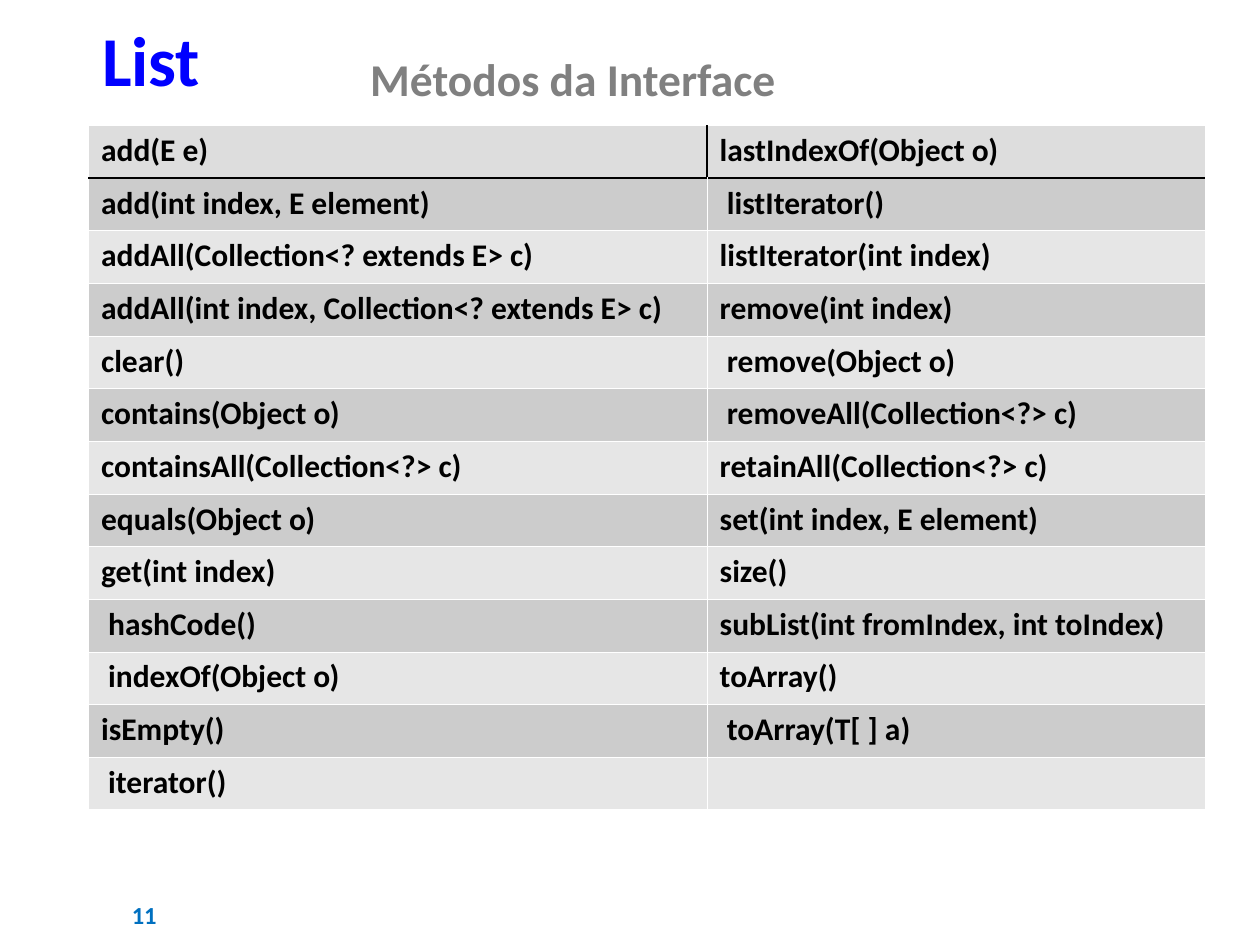
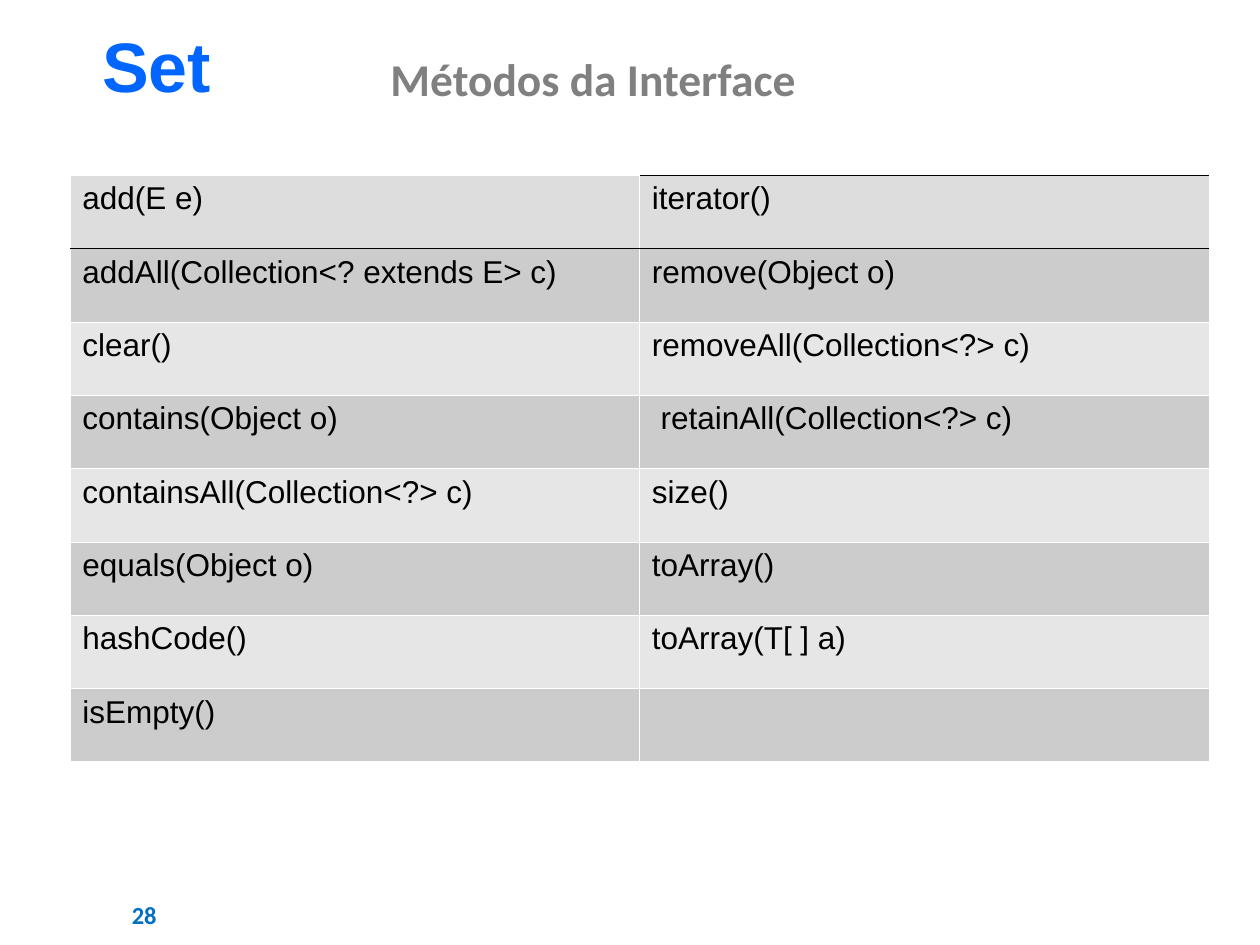
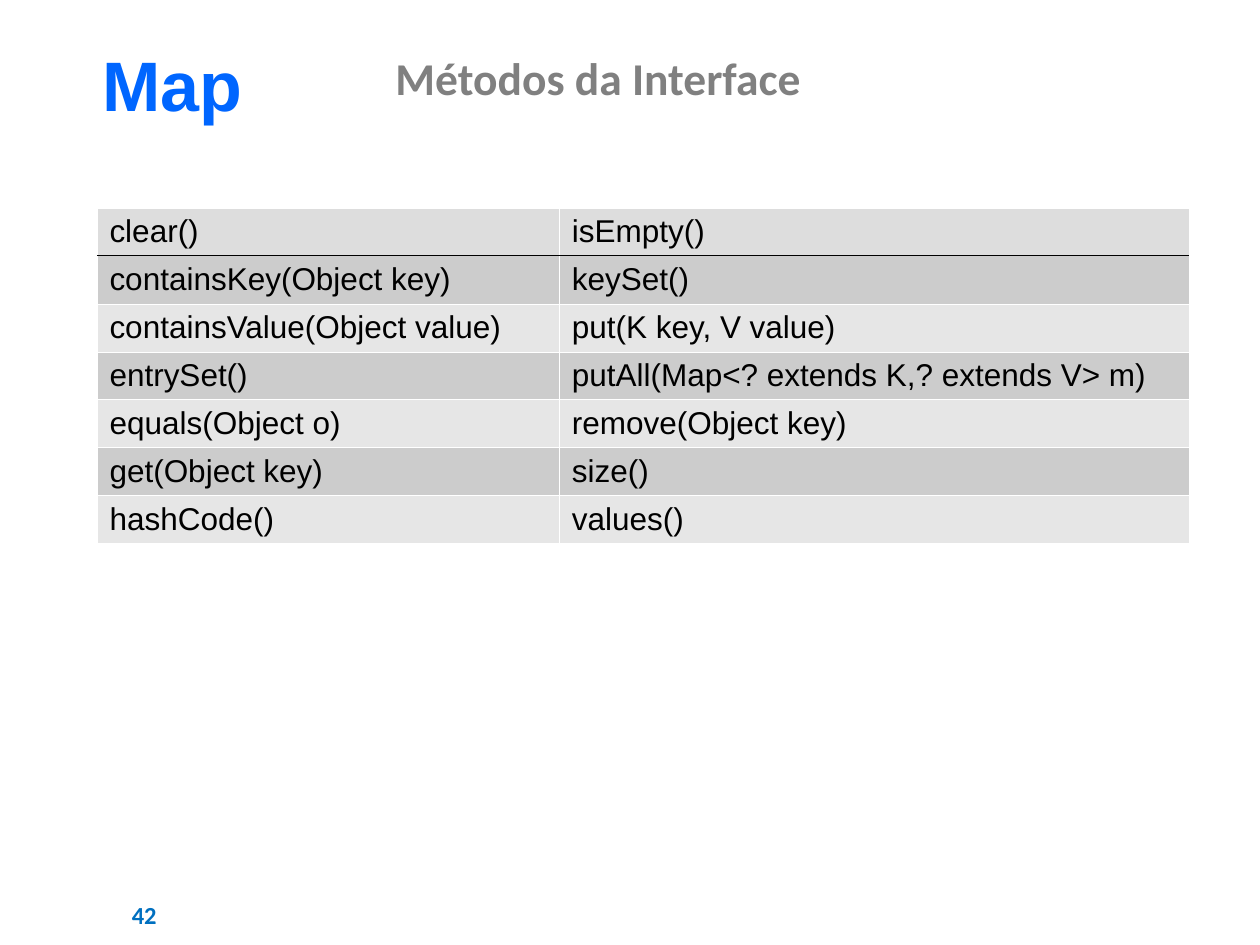
from lxml import etree
from pptx import Presentation
from pptx.dml.color import RGBColor
from pptx.enum.text import MSO_ANCHOR, MSO_AUTO_SIZE, PP_ALIGN
from pptx.oxml.ns import qn
from pptx.util import Pt

BLACK = RGBColor(0x00, 0x00, 0x00)
WHITE = RGBColor(0xFF, 0xFF, 0xFF)
GRAY = RGBColor(0x80, 0x80, 0x80)
PURE_BLUE = RGBColor(0x00, 0x00, 0xFF)
BRIGHT_BLUE = RGBColor(0x00, 0x66, 0xFF)
NUMBER_BLUE = RGBColor(0x00, 0x70, 0xC0)
HEADER_FILL = RGBColor(0xDD, 0xDD, 0xDD)
BAND_FILLS = (RGBColor(0xE6, 0xE6, 0xE6), RGBColor(0xCC, 0xCC, 0xCC))

HAIRLINE = (WHITE, 0.06)
TITLE_ONLY_LAYOUT = 5

LIST_METHODS = (
    ("add(E e)", "lastIndexOf(Object o)"),
    ("add(int index, E element)", " listIterator()"),
    ("addAll(Collection<? extends E> c)", "listIterator(int index)"),
    ("addAll(int index, Collection<? extends E> c)", "remove(int index)"),
    ("clear()", " remove(Object o)"),
    ("contains(Object o)", " removeAll(Collection<?> c)"),
    ("containsAll(Collection<?> c)", "retainAll(Collection<?> c)"),
    ("equals(Object o)", "set(int index, E element)"),
    ("get(int index)", "size()"),
    (" hashCode()", "subList(int fromIndex, int toIndex)"),
    (" indexOf(Object o)", "toArray()"),
    ("isEmpty()", " toArray(T[ ] a)"),
    (" iterator()", ""),
)
SET_METHODS = (
    ("add(E e)", "iterator()"),
    ("addAll(Collection<? extends E> c)", "remove(Object o)"),
    ("clear()", "removeAll(Collection<?> c)"),
    ("contains(Object o)", " retainAll(Collection<?> c)"),
    ("containsAll(Collection<?> c)", "size()"),
    ("equals(Object o)", "toArray()"),
    ("hashCode()", "toArray(T[ ] a)"),
    ("isEmpty()", ""),
)
MAP_METHODS = (
    ("clear()", "isEmpty()"),
    ("containsKey(Object key)", "keySet()"),
    ("containsValue(Object value)", "put(K key, V value)"),
    ("entrySet()", "putAll(Map<? extends K,? extends V> m)"),
    ("equals(Object o)", "remove(Object key)"),
    ("get(Object key)", "size()"),
    ("hashCode()", "values()"),
)


class MethodDeck:
    def __init__(self):
        self.presentation = Presentation()
        self.presentation.slide_width = Pt(720)
        self.presentation.slide_height = Pt(540)
        self.slide = None

    def new_slide(self):
        layout = self.presentation.slide_layouts[TITLE_ONLY_LAYOUT]
        self.slide = self.presentation.slides.add_slide(layout)

    def add_run(self, paragraph, text, size, color, font="Calibri", bold=True):
        run = paragraph.add_run()
        run.text = text
        run.font.name = font
        run.font.size = Pt(size)
        run.font.bold = bold
        run.font.color.rgb = color

    def format_frame(self, shape, anchor, alignment=PP_ALIGN.LEFT):
        """Set wrapping and alignment, and return the first paragraph."""
        frame = shape.text_frame
        frame.word_wrap = True
        frame.auto_size = MSO_AUTO_SIZE.NONE
        frame.vertical_anchor = anchor
        paragraph = frame.paragraphs[0]
        paragraph.alignment = alignment
        return paragraph

    def title(self, text, box, color, font, anchor=MSO_ANCHOR.MIDDLE, line_spacing=0.9):
        shape = self.slide.shapes.title
        shape.left, shape.top, shape.width, shape.height = map(Pt, box)
        paragraph = self.format_frame(shape, anchor)
        paragraph.line_spacing = line_spacing
        self.add_run(paragraph, text, 40, color, font)

    def subtitle(self, left, top=25.9, width=246.2):
        shape = self.slide.shapes.add_textbox(Pt(left), Pt(top), Pt(width), Pt(38.9))
        paragraph = self.format_frame(shape, MSO_ANCHOR.TOP)
        self.add_run(paragraph, "Métodos da Interface", 26, GRAY)

    def slide_number(self, number):
        shape = self.slide.shapes.add_textbox(Pt(1.4), Pt(508.3), Pt(162), Pt(28.8))
        paragraph = self.format_frame(shape, MSO_ANCHOR.MIDDLE, PP_ALIGN.CENTER)
        self.add_run(paragraph, str(number), 14, NUMBER_BLUE)

    def cell_borders(self, cell, accents):
        """Draw all four edges; accents maps an edge to its black line width."""
        properties = cell._tc.get_or_add_tcPr()
        for index, edge in enumerate("LRTB"):
            color, width = (BLACK, accents[edge]) if edge in accents else HAIRLINE
            line = etree.Element(qn(f"a:ln{edge}"), w=str(Pt(width)))
            fill = etree.SubElement(line, qn("a:solidFill"))
            etree.SubElement(fill, qn("a:srgbClr"), val=str(color))
            properties.insert(index, line)

    def method_table(self, methods, left, top, column_widths, row_height, font, bold, accents):
        """Accents maps (row, column) to the black edges of that cell."""
        frame = self.slide.shapes.add_table(
            len(methods), len(column_widths), Pt(left), Pt(top),
            Pt(sum(column_widths)), Pt(row_height * len(methods)))
        table = frame.table
        table.first_row = table.horz_banding = False
        for column, width in zip(table.columns, column_widths):
            column.width = Pt(width)
        for row_index, names in enumerate(methods):
            table.rows[row_index].height = Pt(row_height)
            for column_index, name in enumerate(names):
                cell = table.cell(row_index, column_index)
                cell.fill.solid()
                cell.fill.fore_color.rgb = BAND_FILLS[row_index % 2] if row_index else HEADER_FILL
                self.cell_borders(cell, accents.get((row_index, column_index), {}))
                if name:
                    self.add_run(cell.text_frame.paragraphs[0], name, 18, BLACK, font, bold)


def header_rule(width):
    """Black line between the header row and the first banded row."""
    return {(row, column): {edge: width}
            for row, edge in enumerate("BT") for column in range(2)}


def main():
    deck = MethodDeck()

    deck.new_slide()
    deck.title("List", (51.1, 11.5, 76.3, 49.7), PURE_BLUE, "Calibri")
    deck.slide_number(11)
    accents = header_rule(1)
    accents[0, 0]["R"] = accents[0, 1]["L"] = 1
    deck.method_table(LIST_METHODS, 50.6, 71.6, (353.5, 284.4), 30.08, "Calibri", True, accents)
    deck.subtitle(204.5, width=252)

    deck.new_slide()
    deck.title("Set", (51.1, 18, 82.1, 43.9), BRIGHT_BLUE, "Arial")
    deck.slide_number(28)
    accents = header_rule(1)
    accents[0, 1]["T"] = 0.5
    deck.method_table(SET_METHODS, 39.9, 100, (325.4, 325.4), 41.92, "Arial", False, accents)
    deck.subtitle(216)

    deck.new_slide()
    deck.slide_number(42)
    deck.title("Map", (51.1, 20.2, 96.5, 51.8), BRIGHT_BLUE, "Arial", MSO_ANCHOR.TOP, 1.0)
    deck.method_table(MAP_METHODS, 55.4, 118.8, (264.2, 360), 27.4, "Arial", False, header_rule(0.5))
    deck.subtitle(218.9, top=25.2)

    deck.presentation.save("out.pptx")


if __name__ == "__main__":
    main()
